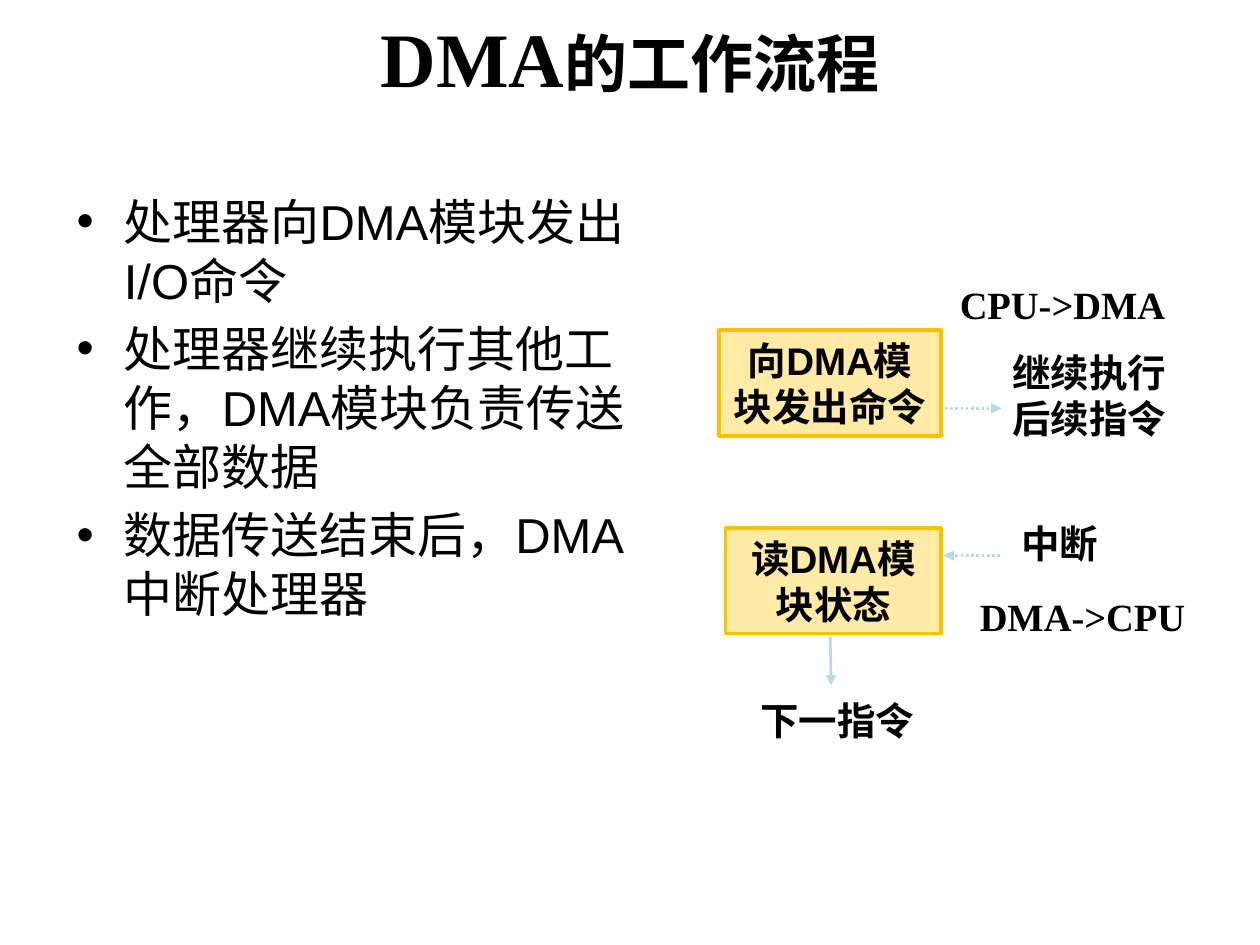
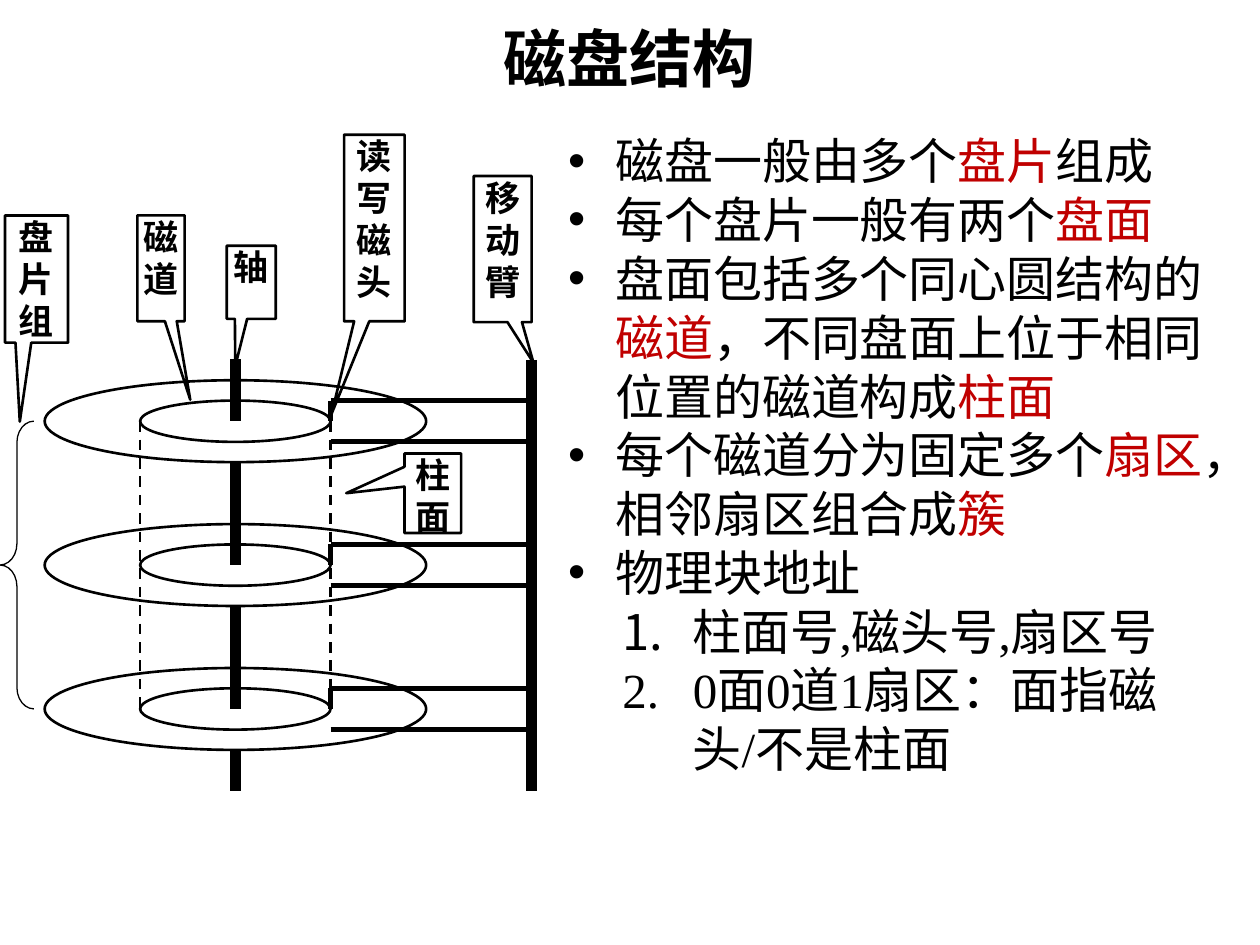
from lxml import etree
from pptx import Presentation
from pptx.dml.color import RGBColor
from pptx.enum import dml, shapes, text
from pptx.oxml import ns
from pptx.util import Pt

BLACK = RGBColor(0, 0, 0)
RED = RGBColor(0xC0, 0, 0)
CREAM = RGBColor(0xFF, 0xEA, 0xA7)
GOLD = RGBColor(0xFF, 0xC0, 0)
TEAL = RGBColor(0xB6, 0xDC, 0xDF)
SANS, SERIF, CJK = "Arial", "Times New Roman", "Noto Sans CJK SC"
LINE_RATIO = 1.2
SHAPE, DASH = shapes.MSO_SHAPE, dml.MSO_LINE


def add_xml(parent, tag, **attrs):
    """Append a DrawingML element to a parent."""
    return etree.SubElement(parent, ns.qn("a:" + tag), attrs)


def add_run(p, words, size, font, bold=False, color=BLACK):
    """Add one styled run to a paragraph."""
    r = p.add_run()
    r.text = words
    r.font.size, r.font.name, r.font.bold = Pt(size), font, bold
    r.font.color.rgb = color
    p.line_spacing = Pt(max(size * LINE_RATIO, p.line_spacing.pt if p.line_spacing else 0))


def paragraphs(tf, count):
    """Return the first paragraphs of a frame, adding those missing."""
    return [tf.paragraphs[0]] + [tf.add_paragraph() for _ in range(count - 1)]


def text_box(s, x, y, w, h, wrap=True):
    """Add a text box and return its frame."""
    tf = s.shapes.add_textbox(Pt(x), Pt(y), Pt(w), Pt(h)).text_frame
    tf.word_wrap = wrap
    return tf


def add_title(s, runs):
    """Add the centred slide title from (words, size, font) runs."""
    tf = text_box(s, 36, 0, 648, 65)
    tf.vertical_anchor = text.MSO_ANCHOR.MIDDLE
    p = tf.paragraphs[0]
    p.alignment = text.PP_ALIGN.CENTER
    for words, size, font in runs:
        add_run(p, words, size, font, True)


def add_list(s, box, items, font, gap=0):
    """Add a list of (numbered, runs) items, odd runs in red."""
    tf = text_box(s, *box)
    for i, (p, (numbered, runs)) in enumerate(zip(paragraphs(tf, len(items)), items)):
        if i and gap:
            p.space_before = Pt(gap)
        for j, words in enumerate(runs):
            add_run(p, words, 28, font, color=RED if j % 2 else BLACK)
        margin, hang = (71.3, 40.3) if numbered else (27, 27)
        pr = p._p.get_or_add_pPr()
        pr.set("marL", str(Pt(margin)))
        pr.set("indent", str(-Pt(hang)))
        if numbered:
            add_xml(pr, "buFont", typeface="+mj-lt")
            add_xml(pr, "buAutoNum", type="arabicPeriod")
        else:
            add_xml(pr, "buFont", typeface=SANS)
            add_xml(pr, "buChar", char="•")


def add_line(s, x1, y1, x2, y2, width, color=BLACK, dash=None, arrow=False):
    """Add a straight line, dashed or with an arrowhead if asked."""
    c = s.shapes.add_connector(shapes.MSO_CONNECTOR.STRAIGHT, Pt(x1), Pt(y1), Pt(x2), Pt(y2))
    c.line.width, c.line.color.rgb = Pt(width), color
    if dash:
        c.line.dash_style = dash
    if arrow:
        add_xml(c.line._get_or_add_ln(), "tailEnd", type="triangle")
    add_xml(c._element.spPr, "effectLst")


def add_outline(s, kind, x, y, w, h, width=1.5, color=BLACK, fill=None, adj=()):
    """Add a preset shape with an outline and an optional fill."""
    sp = s.shapes.add_shape(kind, Pt(x), Pt(y), Pt(w), Pt(h))
    sp.shadow.inherit = False
    if fill is None:
        sp.fill.background()
    else:
        sp.fill.solid()
        sp.fill.fore_color.rgb = fill
    sp.line.width, sp.line.color.rgb = Pt(width), color
    for i, value in enumerate(adj):
        sp.adjustments[i] = value
    return sp


def add_step(s, x, y, w, h, words):
    """Add one yellow step of the flow."""
    tf = add_outline(s, SHAPE.RECTANGLE, x, y, w, h, 2, GOLD, CREAM).text_frame
    tf.word_wrap = True
    tf.vertical_anchor = text.MSO_ANCHOR.MIDDLE
    p = tf.paragraphs[0]
    p.alignment = text.PP_ALIGN.CENTER
    add_run(p, words, 22, SANS, True)


def dma_flow(s, x, y):
    """Draw the DMA flow with its top left corner at x, y."""
    add_step(s, x, y + 31.7, 126.7, 60.5, "向DMA模块发出命令")
    add_step(s, x + 3.6, y + 144.7, 123.1, 60.5, "读DMA模块状态")
    labels = [
        (130.4, 0, 133, 40, "CPU->DMA", False),
        (141.8, 178.5, 133, 40, "DMA->CPU", False),
        (16.5, 237.6, 104, 40, "下一指令", False),
        (160.5, 39, 112, 71, "继续执行后续指令", True),
        (165.5, 136.8, 60, 40, "中断", False),
    ]
    for dx, dy, w, h, words, wrap in labels:
        tf = text_box(s, x + dx, y + dy, w, h, wrap)
        add_run(tf.paragraphs[0], words, 22, SERIF, True)
    arrows = [
        (63.4, 206.6, 64, 234.7, None),
        (128.9, 76.3, 161.3, 76.3, DASH.ROUND_DOT),
        (160.5, 160.5, 128.2, 160.5, DASH.ROUND_DOT),
    ]
    for x1, y1, x2, y2, dash in arrows:
        add_line(s, x + x1, y + y1, x + x2, y + y2, 1.5, TEAL, dash, True)


def add_callout(s, x, y, w, h, adj, lines):
    """Add a callout naming one part of the disk."""
    sp = add_outline(s, SHAPE.RECTANGULAR_CALLOUT, x, y, w, h, adj=adj)
    tf = sp.text_frame
    tf.word_wrap = True
    tf.vertical_anchor = text.MSO_ANCHOR.TOP
    tf.margin_left = tf.margin_right = tf.margin_top = tf.margin_bottom = 0
    for p, words in zip(paragraphs(tf, len(lines)), lines):
        p.alignment = text.PP_ALIGN.CENTER
        add_run(p, words, 20, CJK, True)


def disk_stack(s, x, y):
    """Draw platters, spindle and arms, with the top of the spindle at y."""
    axis, post, pitch = x + 134.5, x + 303.8, 82.2
    rx, ry, track_rx, track_ry = 109, 23.4, 54.4, 11.8
    head = axis + track_rx
    centers = [y + 35.5 + i * pitch for i in range(3)]
    first, last = centers[0], centers[-1]
    for cy in centers:
        for a, b in ((rx, ry), (track_rx, track_ry)):
            add_outline(s, SHAPE.OVAL, axis - a, cy - b, 2 * a, 2 * b)
        for arm in (cy - track_ry, cy + track_ry):
            add_line(s, head, arm, post, arm, 3)
        add_line(s, head, cy - track_ry, head, cy, 3)
    starts = [y] + [cy + ry for cy in centers]
    bottom = y + 247
    for start, end in zip(starts, centers + [bottom]):
        add_line(s, axis, start, axis, end, 6)
    add_line(s, post, y + 0.5, post, bottom, 6)
    for edge in (axis - track_rx, head):
        add_line(s, edge, first, edge, last, 1.5, dash=DASH.DASH)
    add_outline(s, SHAPE.LEFT_BRACE, x, first, 19.4, last - first, 0.75, adj=(0.629, 0.5))


def disk_callouts(s, x, y):
    """Name the disk parts, measured from the top of the highest callout."""
    callouts = [
        (129.6, 63.4, 28, 41.8, (-0.325, 1.143), ["轴"]),
        (2.9, 46.1, 36, 72.7, (-0.265, 1.121), ["盘片组"]),
        (270.7, 23.6, 33.1, 83.5, (0.533, 0.779), ["移动", "臂"]),
        (196.6, 0, 34.6, 106.6, (-0.707, 0.996), ["读写", "磁头"]),
        (78.5, 46.1, 27, 60.5, (0.619, 1.241), ["磁道"]),
        (231.1, 182.2, 32.4, 45.4, (-1.527, -0.001), ["柱面"]),
    ]
    for dx, dy, w, h, adj, lines in callouts:
        add_callout(s, x + dx, y + dy, w, h, adj, lines)


def dma_slide(s):
    """Build the slide on how DMA works."""
    add_title(s, [("DMA", 44, SERIF), ("的工作流程", 36, SERIF)])
    items = [
        (False, ["处理器向DMA模块发出I/O命令"]),
        (False, ["处理器继续执行其他工作，DMA模块负责传送全部数据"]),
        (False, ["数据传送结束后，DMA中断处理器"]),
    ]
    add_list(s, (36.7, 105.8, 346.3, 385), items, SANS, 5.6)
    dma_flow(s, 411, 157)


def disk_slide(s):
    """Build the slide on disk structure."""
    add_title(s, [("磁盘结构", 36, SANS)])
    items = [
        (False, ["磁盘一般由多个", "盘片", "组成"]),
        (False, ["每个盘片一般有两个", "盘面"]),
        (False, ["盘面包括多个同心圆结构的", "磁道", "，不同盘面上位于相同位置的磁道构成", "柱面"]),
        (False, ["每个磁道分为固定多个", "扇区", "，相邻扇区组合成", "簇"]),
        (False, ["物理块地址"]),
        (True, ["柱面号,磁头号,扇区号"]),
        (True, ["0面0道1扇区：面指磁头/不是柱面"]),
    ]
    add_list(s, (317.5, 71.3, 399.6, 448), items, SERIF)
    disk_stack(s, 0, 205.2)
    disk_callouts(s, 0, 77)


def main():
    """Build and save both slides."""
    prs = Presentation()
    prs.slide_width, prs.slide_height = Pt(720), Pt(540)
    for build in (dma_slide, disk_slide):
        build(prs.slides.add_slide(prs.slide_layouts[6]))
    prs.save("out.pptx")


if __name__ == "__main__":
    main()
